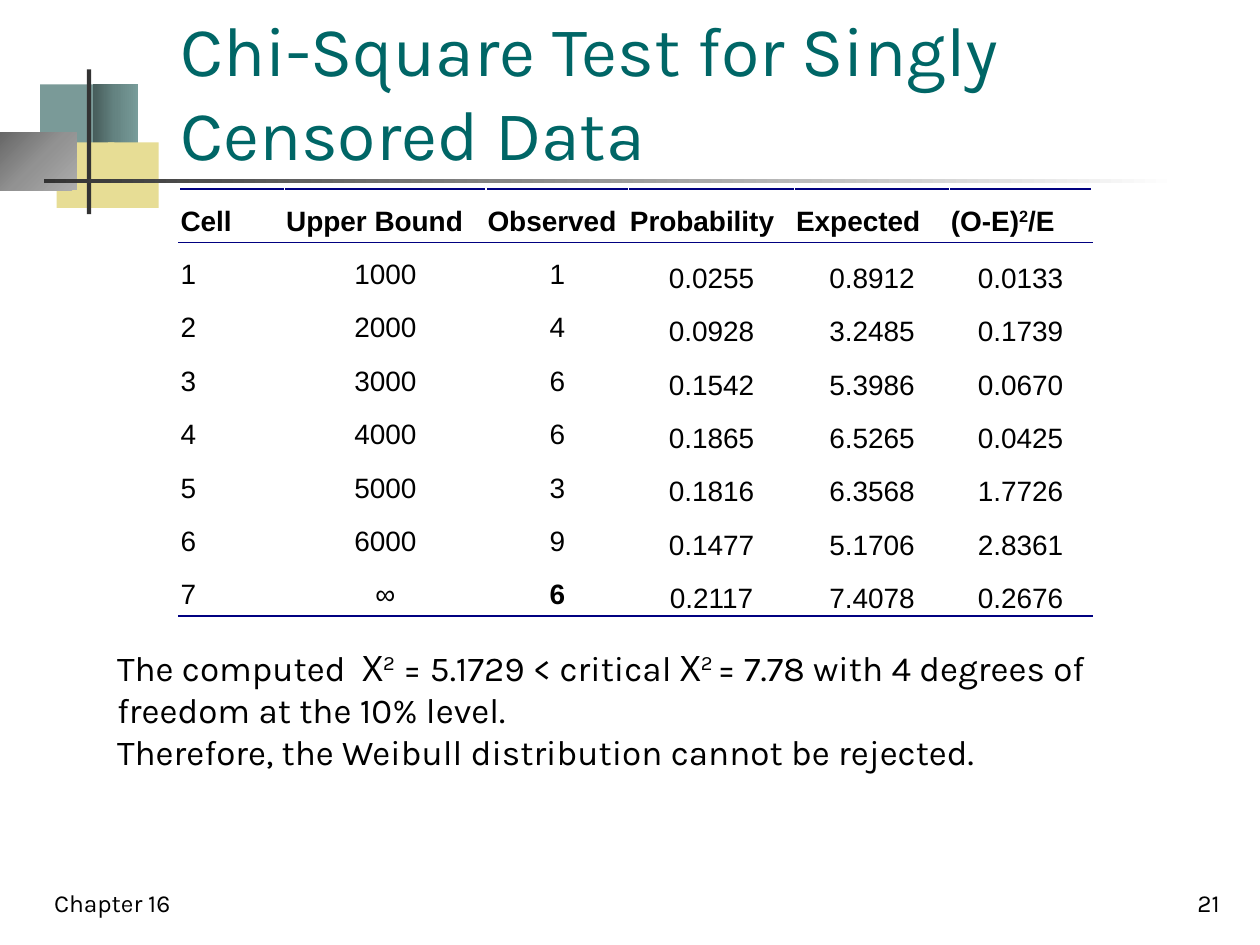
from lxml import etree
from pptx import Presentation
from pptx.dml.color import RGBColor
from pptx.enum.shapes import MSO_SHAPE
from pptx.enum.text import MSO_ANCHOR as Anchor, MSO_AUTO_SIZE as AutoSize, PP_ALIGN as Align
from pptx.oxml.ns import qn
from pptx.util import Cm, Pt

COLORS = {
    "white": "FFFFFF", "black": "000000", "title": "006666", "rule": "000080",
    "teal": "7A9A98", "sand": "E7DD95", "dark": "333333",
}
TITLE = "Chi-Square Test for Singly Censored Data"
CONCLUSION = [
    ["The computed  Χ", "2", " = 5.1729 < critical Χ", "2 ",
     "= 7.78 with 4 degrees of freedom at the 10% level."],
    ["Therefore, the Weibull distribution cannot be rejected."],
]
HEADER = ["Cell", "Upper Bound", "Observed", "Probability", "Expected", ["(O-E)", "2", "/E"]]
ROWS = [
    ["1", "1000", "1", "0.0255", "0.8912", "0.0133"],
    ["2", "2000", "4", "0.0928", "3.2485", "0.1739"],
    ["3", "3000", "6", "0.1542", "5.3986", "0.0670"],
    ["4", "4000", "6", "0.1865", "6.5265", "0.0425"],
    ["5", "5000", "3", "0.1816", "6.3568", "1.7726"],
    ["6", "6000", "9", "0.1477", "5.1706", "2.8361"],
    ["7", "∞", "6", "0.2117", "7.4078", "0.2676"],
]
BOLD_CELLS = {(7, 2)}
COLUMN_WIDTHS = [2.13, 4.06, 2.87, 3.35, 3.12, 2.87]
ROW_HEIGHT = 1.07
TEAL_FADE = [(0, "475D5B"), (50, "658482"), (100, "789C9A")]
GRAY_FADE = [(0, "676767"), (50, "929292"), (100, "ADADAD")]
RULE_FADE = [(0, COLORS["dark"]), (100, COLORS["white"])]
ORNAMENTS = [
    ((0.81, 1.7, 1.22, 1.32), COLORS["teal"], False),
    ((1.88, 1.7, 0.91, 1.32), TEAL_FADE, False),
    ((1.14, 2.87, 1.17, 1.32), COLORS["sand"], False),
    ((2.18, 2.87, 1.02, 1.32), COLORS["sand"], False),
    ((0, 2.67, 1.55, 1.17), GRAY_FADE, True),
    ((1.75, 1.4, 0.09, 2.92), COLORS["dark"], False),
    ((0.89, 3.61, 22.86, 0.09), RULE_FADE, False),
]
FOOTERS = [("Chapter 16", 0.84, Align.LEFT), ("21", 19.56, Align.RIGHT)]


def write(frame, paragraphs, size, font="Karla", color="black", bold=False,
          align=Align.LEFT, spacing=None):
    for index, parts in enumerate(paragraphs):
        paragraph = frame.add_paragraph() if index else frame.paragraphs[0]
        paragraph.alignment = align
        paragraph.line_spacing = spacing
        for position, text in enumerate([parts] if isinstance(parts, str) else parts):
            run = paragraph.add_run()
            run.text = text
            run.font.size = Pt(size)
            run.font.name = font
            run.font.bold = bold
            run.font.color.rgb = RGBColor.from_string(COLORS[color])
            if position % 2:
                run._r.get_or_add_rPr().set("baseline", "30000")


def fade(shape, stops, radial):
    shape.fill.gradient()
    shape.fill.gradient_angle = 0
    gradient = shape._element.spPr.find(qn("a:gradFill"))
    stop_list = gradient.find(qn("a:gsLst"))
    for stop in list(stop_list):
        stop_list.remove(stop)
    for percent, color in stops:
        stop = etree.SubElement(stop_list, qn("a:gs"), pos=str(percent * 1000))
        etree.SubElement(stop, qn("a:srgbClr"), val=color)
    if radial:
        gradient.remove(gradient.find(qn("a:lin")))
        circle = etree.SubElement(gradient, qn("a:path"), path="circle")
        etree.SubElement(circle, qn("a:fillToRect"), r="100000", b="100000")


def add_ornament(slide, box, fill, radial):
    shape = slide.shapes.add_shape(MSO_SHAPE.RECTANGLE, *map(Cm, box))
    shape.shadow.inherit = False
    shape.line.fill.background()
    if isinstance(fill, str):
        shape.fill.solid()
        shape.fill.fore_color.rgb = RGBColor.from_string(fill)
    else:
        fade(shape, fill, radial)


def add_text(slide, box, paragraphs, size, anchor=Anchor.TOP, **style):
    frame = slide.shapes.add_textbox(*map(Cm, box)).text_frame
    frame.word_wrap = True
    frame.vertical_anchor = anchor
    write(frame, paragraphs, size, **style)


def add_border(cell, side):
    line = etree.Element(qn("a:" + side), w=str(Pt(1)))
    fill = etree.SubElement(line, qn("a:solidFill"))
    etree.SubElement(fill, qn("a:srgbClr"), val=COLORS["rule"])
    cell._tc.get_or_add_tcPr().insert(0, line)


def add_results(slide):
    data = [HEADER] + ROWS
    table = slide.shapes.add_table(
        len(data), len(HEADER), Cm(3.61), Cm(3.81),
        Cm(sum(COLUMN_WIDTHS)), Cm(ROW_HEIGHT * len(data))).table
    table.first_row = table.horz_banding = False
    for column, width in zip(table.columns, COLUMN_WIDTHS):
        column.width = Cm(width)
    for r, values in enumerate(data):
        table.rows[r].height = Cm(ROW_HEIGHT)
        for c, value in enumerate(values):
            cell = table.cell(r, c)
            cell.margin_left = cell.margin_right = Cm(0.03)
            cell.margin_top = cell.margin_bottom = Cm(0.03)
            cell.vertical_anchor = Anchor.BOTTOM if r and c > 2 else Anchor.TOP
            cell.fill.solid()
            cell.fill.fore_color.rgb = RGBColor.from_string(COLORS["white"])
            if r in (0, len(data) - 1):
                add_border(cell, "lnB")
            if r < 2:
                add_border(cell, "lnT")
            write(cell.text_frame, [value], 16, font="Arial", spacing=1.5,
                  bold=r == 0 or (r, c) in BOLD_CELLS,
                  align=Align.CENTER if r and c else Align.LEFT)


presentation = Presentation()
presentation.slide_width, presentation.slide_height = Cm(25.4), Cm(19.05)
slide = presentation.slides.add_slide(presentation.slide_layouts[5])

for box, fill, radial in ORNAMENTS:
    add_ornament(slide, box, fill, radial)

title = slide.shapes.title
title.left, title.top, title.width, title.height = map(Cm, (3.38, 1.47, 19.74, 2.18))
title.text_frame.auto_size = AutoSize.NONE
title.text_frame.vertical_anchor = Anchor.BOTTOM
write(title.text_frame, [TITLE], 40, color="title")

for text, left, align in FOOTERS:
    add_text(slide, (left, 17.35, 5.28, 1.27), [text], 14, anchor=Anchor.BOTTOM, align=align)

add_results(slide)
add_text(slide, (2.11, 12.9, 20.96, 2.82), CONCLUSION, 20)
presentation.save("out.pptx")
